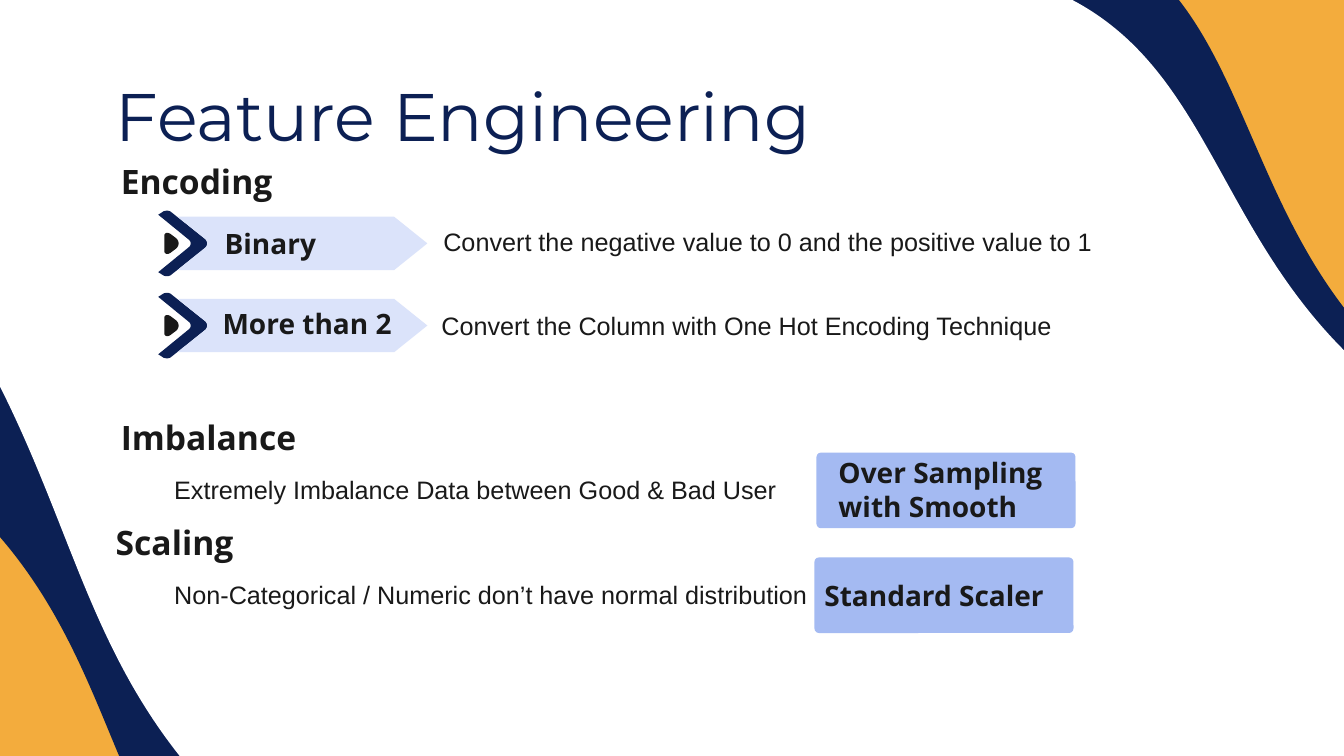
"""Build the Feature Engineering slide on a grid of tenth-inch columns and rows."""
from dataclasses import dataclass
from typing import Any

from pptx import Presentation
from pptx.dml.color import RGBColor
from pptx.enum.shapes import MSO_SHAPE as Preset
from pptx.enum.text import MSO_ANCHOR as Anchor
from pptx.util import Inches, Pt

CELL = Inches(0.1)
COLUMNS, ROWS = 133.33, 75
NAVY = RGBColor(0x0C, 0x20, 0x54)
ORANGE = RGBColor(0xF3, 0xAC, 0x3D)
WHITE = RGBColor(0xFF, 0xFF, 0xFF)
INK = RGBColor(0x19, 0x19, 0x19)
PALE = RGBColor(0xDB, 0xE3, 0xFA)
BLUE = RGBColor(0xA4, 0xBA, 0xF2)
CURVE_STEPS = 8

Segment = tuple[float, ...]


@dataclass(frozen=True)
class Box:
    column: float
    row: float
    columns: float
    rows: float

    def lengths(self) -> list[int]:
        return [round(value * CELL) for value in (self.column, self.row, self.columns, self.rows)]


@dataclass(frozen=True)
class Wave:
    box: Box
    rotation: float
    color: RGBColor


@dataclass(frozen=True)
class Label:
    text: str
    box: Box
    style: dict[str, Any]
    wrap: bool = True


@dataclass(frozen=True)
class Outline:
    color: RGBColor
    segments: list[Segment]


TITLE = {"name": "Montserrat", "size": Pt(48), "bold": False, "color": NAVY}
HEADING = {"name": "Open Sans", "size": Pt(24), "bold": True, "color": INK}
TAG = HEADING | {"size": Pt(20)}
BODY = {"name": "Arial", "size": Pt(18), "bold": False, "color": INK}

WAVES = [
    Wave(Box(1.9, -37.2, 78.9, 131.2), 30, NAVY),
    Wave(Box(54.8, -7.6, 78.9, 148.8), 205.5, NAVY),
    Wave(Box(56.8, 0, 78.9, 122.1), 205.5, WHITE),
    Wave(Box(-14.4, -23.5, 108, 101.6), 45, WHITE),
]

BADGE_COLUMN = 15.7
BADGE_ROWS = [24.15 + 8.15 * index for index in range(2)]
BADGE = [
    Outline(NAVY, [
        (0.9, -3.25), (0.7, -3.25, 0.5, -3.2, 0.4, -3.1), (0, -2.85), (3, -0.4),
        (3.3, -0.2, 3.3, 0.2, 3, 0.4), (0, 2.85), (0.4, 3.1),
        (0.5, 3.2, 0.7, 3.25, 0.9, 3.25), (1, 3.25, 1.2, 3.2, 1.3, 3.1), (4.7, 0.4),
        (4.9, 0.2, 4.9, -0.2, 4.7, -0.4), (1.3, -3.1), (1.2, -3.2, 1, -3.25, 0.9, -3.25),
    ]),
    Outline(INK, [
        (0.9, -1.05), (0.7, -1.05, 0.6, -0.9, 0.6, -0.75), (0.6, 0.75),
        (0.6, 0.9, 0.7, 1.05, 0.9, 1.05), (1, 1.05, 1.1, 1, 1.2, 0.95), (1.8, 0.5),
        (2.1, 0.2, 2.1, -0.2, 1.8, -0.5), (1.2, -0.95), (1.1, -1, 1, -1.05, 0.9, -1.05),
    ]),
    Outline(PALE, [
        (1.9, -2.65), (4.7, -0.4), (4.9, -0.2, 4.9, 0.2, 4.7, 0.4),
        (1.9, 2.65), (23.4, 2.65), (26.7, 0), (23.4, -2.65),
    ]),
]

RESULT_BOXES = [Box(81, 44.9, 25.7, 7.5), Box(80.8, 55.3, 25.7, 7.5)]

LABELS = [
    Label("Feature Engineering", Box(10.5, 7.8, 112.3, 7.1), TITLE),
    Label("Encoding", Box(11, 15.5, 20.3, 5), HEADING),
    Label("Binary", Box(21.3, 22, 11.2, 4.4), TAG, wrap=False),
    Label("More than 2", Box(21.1, 29.9, 23, 4.4), TAG),
    Label("Convert the negative value to 0 and the positive value to 1", Box(43, 22, 71.3, 4), BODY),
    Label("Convert the Column with One Hot Encoding Technique", Box(42.8, 30.3, 69.8, 4), BODY),
    Label("Imbalance", Box(11, 40.9, 22, 5), HEADING),
    Label("Extremely Imbalance Data between Good & Bad User", Box(16.3, 46.6, 77.3, 4), BODY),
    Label("Scaling", Box(10.5, 51.3, 22, 5), HEADING),
    Label("Non-Categorical / Numeric don’t have normal distribution", Box(16.3, 57, 77.3, 4), BODY),
    Label("Over Sampling with Smooth", Box(82.2, 44.7, 25.7, 7.7), TAG),
    Label("Standard Scaler", Box(80.8, 56.9, 28.6, 4.4), TAG),
]


def paint(shape: Any, color: RGBColor) -> None:
    """Give a shape a flat fill without line or shadow."""
    shape.shadow.inherit = False
    shape.fill.solid()
    shape.fill.fore_color.rgb = color
    shape.line.fill.background()


def draw_wave(slide: Any, wave: Wave) -> None:
    """Draw one flipped and rotated corner wave."""
    shape = slide.shapes.add_shape(Preset.FLOWCHART_DOCUMENT, *wave.box.lengths())
    shape.rotation = wave.rotation
    shape._element.spPr.get_or_add_xfrm().set("flipH", "1")
    paint(shape, wave.color)


def trace(segments: list[Segment]) -> list[tuple[float, float]]:
    """Turn line and cubic curve segments into points."""
    points = [segments[0]]
    for segment in segments[1:]:
        if len(segment) == 2:
            points.append(segment)
            continue
        corners = [points[-1], segment[:2], segment[2:4], segment[4:]]
        for step in range(1, CURVE_STEPS + 1):
            t = step / CURVE_STEPS
            weights = ((1 - t) ** 3, 3 * t * (1 - t) ** 2, 3 * t * t * (1 - t), t ** 3)
            points.append(tuple(sum(weight * corner[axis] for weight, corner in zip(weights, corners))
                                for axis in (0, 1)))
    return points


def draw_badge(slide: Any, row: float) -> None:
    """Draw a grouped chevron banner centred on a row."""
    group = slide.shapes.add_group_shape()
    for outline in BADGE:
        points = [(round((BADGE_COLUMN + x) * CELL), round((row + y) * CELL))
                  for x, y in trace(outline.segments)]
        builder = group.shapes.build_freeform(*points[0])
        builder.add_line_segments(points[1:], close=True)
        paint(builder.convert_to_shape(), outline.color)


def draw_result_box(slide: Any, box: Box) -> None:
    """Draw a slightly rounded box behind a result."""
    shape = slide.shapes.add_shape(Preset.ROUNDED_RECTANGLE, *box.lengths())
    shape.adjustments[0] = 0.06
    paint(shape, BLUE)


def draw_label(slide: Any, label: Label) -> None:
    """Write one label in its style."""
    frame = slide.shapes.add_textbox(*label.box.lengths()).text_frame
    frame.word_wrap = label.wrap
    if label.style is TITLE:
        frame.vertical_anchor = Anchor.MIDDLE
    run = frame.paragraphs[0].add_run()
    run.text = label.text
    for attribute, value in label.style.items():
        if attribute == "color":
            run.font.color.rgb = value
        else:
            setattr(run.font, attribute, value)


def main() -> None:
    """Build and save the presentation."""
    presentation = Presentation()
    presentation.slide_width = round(COLUMNS * CELL)
    presentation.slide_height = ROWS * CELL
    slide = presentation.slides.add_slide(presentation.slide_layouts[6])
    slide.background.fill.solid()
    slide.background.fill.fore_color.rgb = ORANGE
    for draw, items in ((draw_wave, WAVES), (draw_badge, BADGE_ROWS),
                        (draw_result_box, RESULT_BOXES), (draw_label, LABELS)):
        for item in items:
            draw(slide, item)
    presentation.save("out.pptx")


main()
